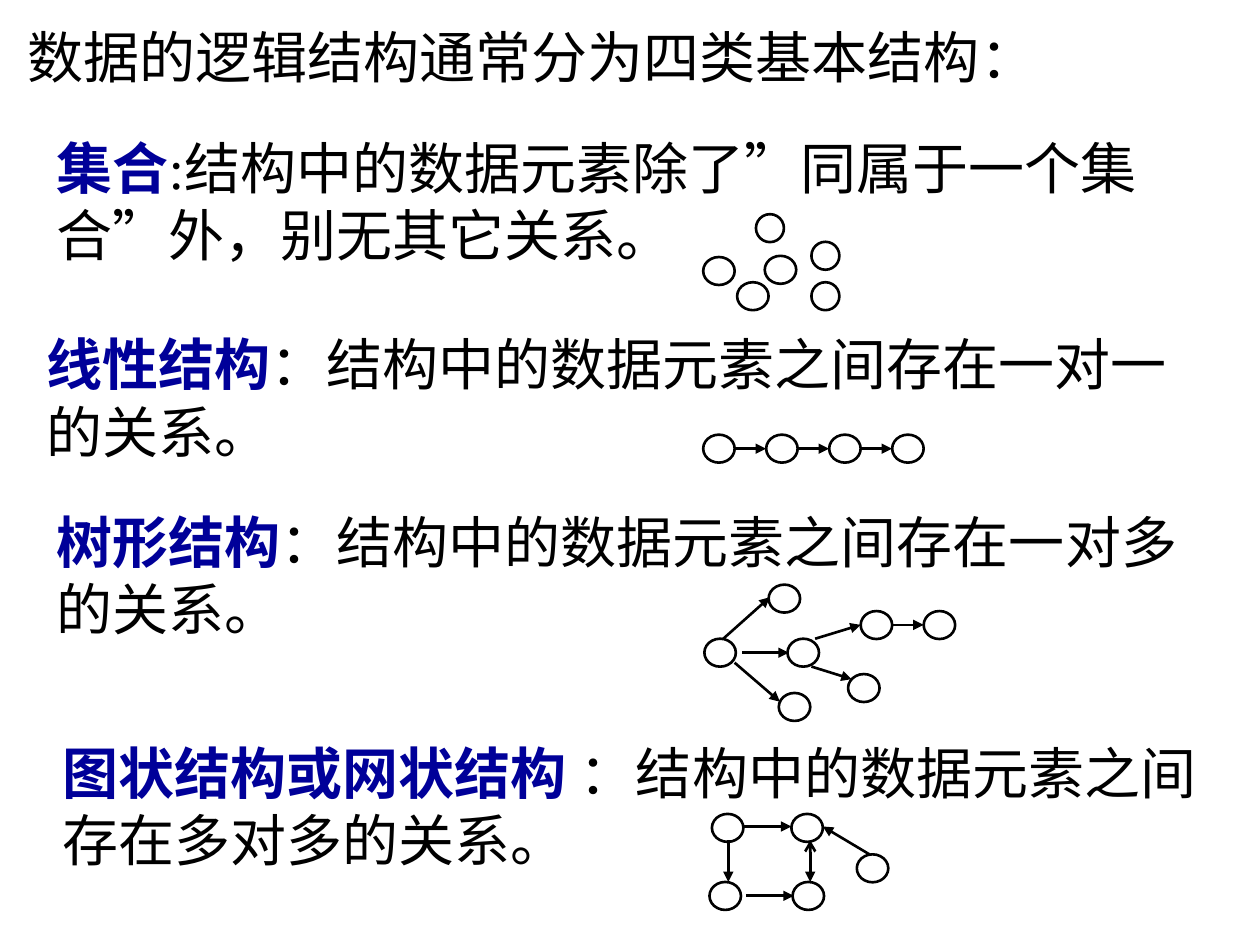
from typing import NamedTuple

from lxml.etree import SubElement
from pptx import Presentation
from pptx.dml.color import RGBColor
from pptx.enum.shapes import MSO_CONNECTOR, MSO_SHAPE
from pptx.enum.text import MSO_ANCHOR, MSO_AUTO_SIZE, PP_ALIGN
from pptx.oxml.ns import qn
from pptx.util import Pt

BLACK = RGBColor(0, 0, 0)
WHITE = RGBColor(255, 255, 255)
NAVY = RGBColor(0, 0, 0x99)
FONT = "Times New Roman"
NODE_W, NODE_H = 18, 16
LINEAR_X, LINEAR_Y, LINEAR_STEP = 401.8, 248.4, 36


class Definition(NamedTuple):
    x: float
    y: float
    w: float
    term: str
    meaning: str


class Node(NamedTuple):
    x: float
    y: float
    w: float = NODE_W


class Arrow(NamedTuple):
    x1: float
    y1: float
    x2: float
    y2: float
    head: str = ""


class Diagram(NamedTuple):
    nodes: list[Node]
    arrows: list[Arrow]


DEFINITIONS = [
    Definition(25.2, 72.7, 691.9, "集合",
               ":结构中的数据元素除了”同属于一个集合”外，别无其它关系。"),
    Definition(19.4, 185, 686.2, "线性结构",
               "：结构中的数据元素之间存在一对一的关系。"),
    Definition(25.2, 286.6, 686.2, "树形结构",
               "：结构中的数据元素之间存在一对多的关系。"),
    Definition(28.8, 418.3, 677.5, "图状结构或网状结构",
               " ：结构中的数据元素之间存在多对多的关系。"),
]

SET = Diagram(
    [Node(437, 146.2), Node(421.2, 161.3), Node(401.8, 146.9),
     Node(463.7, 161.3, 16), Node(463.7, 138.2, 16), Node(432, 122.4, 16)],
    [],
)
LINEAR = Diagram(
    [Node(LINEAR_X + LINEAR_STEP * i, LINEAR_Y) for i in range(4)],
    [Arrow(LINEAR_X + LINEAR_STEP * i + NODE_W, LINEAR_Y + NODE_H / 2,
           LINEAR_X + LINEAR_STEP * (i + 1), LINEAR_Y + NODE_H / 2)
     for i in range(3)],
)
TREE = Diagram(
    [Node(402.5, 365), Node(439.2, 334.1), Node(450, 365), Node(445, 396),
     Node(491.8, 349.2), Node(484.6, 385.2), Node(527.8, 349.2)],
    [Arrow(424.1, 373, 450.7, 373), Arrow(413.3, 365, 439.9, 341.3),
     Arrow(419.8, 378.7, 445.7, 401), Arrow(465.8, 365, 491.8, 357.1),
     Arrow(463.7, 380.9, 486.7, 388.1), Arrow(509.8, 357.1, 527.8, 357.1)],
)
GRAPH = Diagram(
    [Node(405.4, 504), Node(406.8, 465.1), Node(452.9, 504),
     Node(452.2, 465.1), Node(489.6, 488.2)],
    [Arrow(426.2, 511.9, 453.6, 511.9), Arrow(424.8, 472.3, 452.2, 472.3),
     Arrow(416.2, 480.2, 416.2, 504), Arrow(463, 480.2, 463, 504, "arrow"),
     Arrow(496.8, 488.2, 470.2, 472.3)],
)


def add_run(p, text: str, color: RGBColor, bold: bool = False) -> None:
    r = p.add_run()
    r.text = text
    r.font.name = FONT
    r.font.size = Pt(32)
    r.font.bold = bold
    r.font.color.rgb = color


def set_title(s, text: str) -> None:
    sp = s.shapes.title
    sp.left, sp.top, sp.width, sp.height = Pt(8.6), Pt(9.4), Pt(649.4), Pt(45.4)
    tf = sp.text_frame
    tf.word_wrap = True
    tf.auto_size = MSO_AUTO_SIZE.SHAPE_TO_FIT_TEXT
    tf.vertical_anchor = MSO_ANCHOR.TOP
    p = tf.paragraphs[0]
    p.alignment = PP_ALIGN.LEFT
    add_run(p, text, BLACK)


def add_definition(s, d: Definition) -> None:
    sp = s.shapes.add_textbox(Pt(d.x), Pt(d.y), Pt(d.w), Pt(84.2))
    tf = sp.text_frame
    tf.word_wrap = True
    tf.auto_size = MSO_AUTO_SIZE.SHAPE_TO_FIT_TEXT
    p = tf.paragraphs[0]
    add_run(p, d.term, NAVY, True)
    add_run(p, d.meaning, BLACK)


def add_node(shapes, n: Node) -> None:
    sp = shapes.add_shape(MSO_SHAPE.OVAL, Pt(n.x), Pt(n.y), Pt(n.w), Pt(NODE_H))
    sp.shadow.inherit = False
    sp.fill.solid()
    sp.fill.fore_color.rgb = WHITE
    sp.line.color.rgb = BLACK
    sp.line.width = Pt(1.5)


def add_arrow(shapes, a: Arrow) -> None:
    cxn = shapes.add_connector(
        MSO_CONNECTOR.STRAIGHT, Pt(a.x1), Pt(a.y1), Pt(a.x2), Pt(a.y2))
    cxn.line.color.rgb = BLACK
    cxn.line.width = Pt(1.5)
    ln = cxn.line._get_or_add_ln()
    if a.head:
        SubElement(ln, qn("a:headEnd"), type=a.head)
    SubElement(ln, qn("a:tailEnd"), type="triangle")
    SubElement(cxn._element.spPr, qn("a:effectLst"))


def add_diagram(s, d: Diagram) -> None:
    shapes = s.shapes.add_group_shape().shapes
    for n in d.nodes:
        add_node(shapes, n)
    for a in d.arrows:
        add_arrow(shapes, a)


def main() -> None:
    prs = Presentation()
    prs.slide_width, prs.slide_height = Pt(720), Pt(540)
    s = prs.slides.add_slide(prs.slide_layouts[5])
    set_title(s, "数据的逻辑结构通常分为四类基本结构：")
    for d in DEFINITIONS:
        add_definition(s, d)
    for d in (SET, LINEAR, TREE, GRAPH):
        add_diagram(s, d)
    prs.save("out.pptx")


if __name__ == "__main__":
    main()
